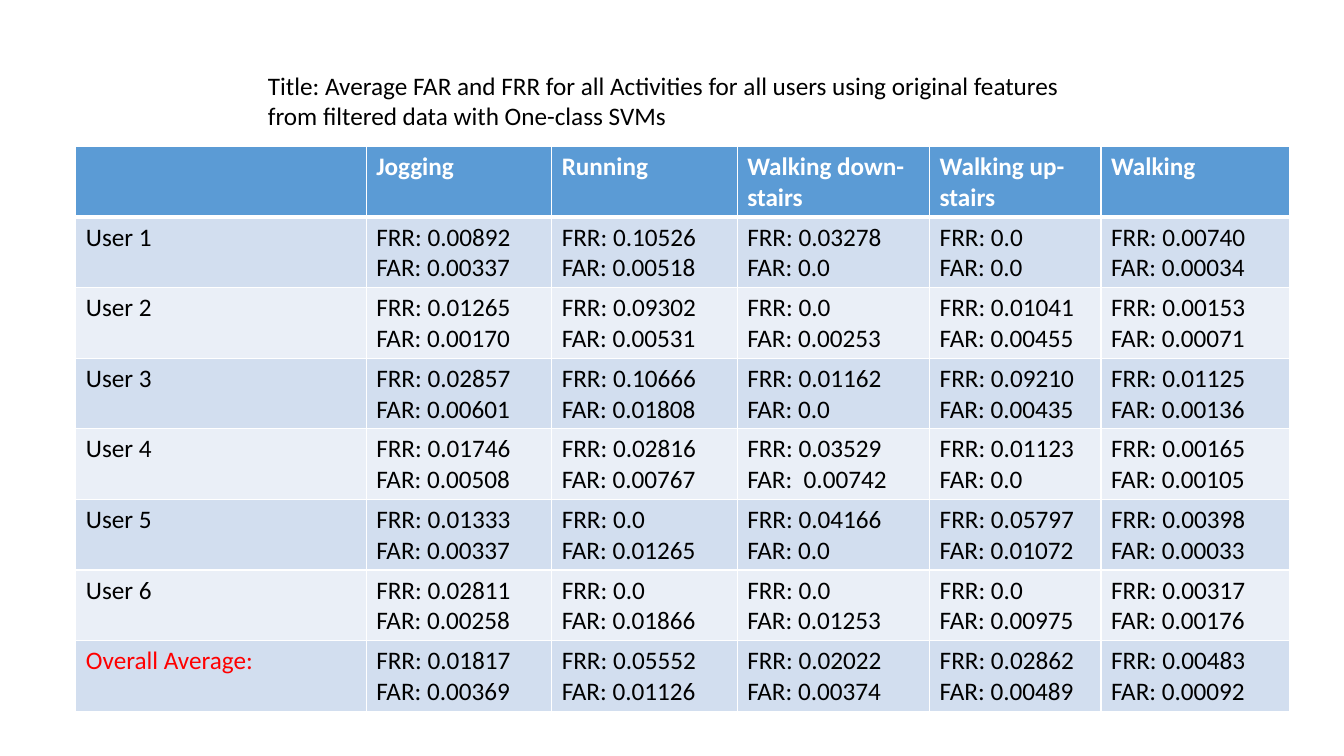
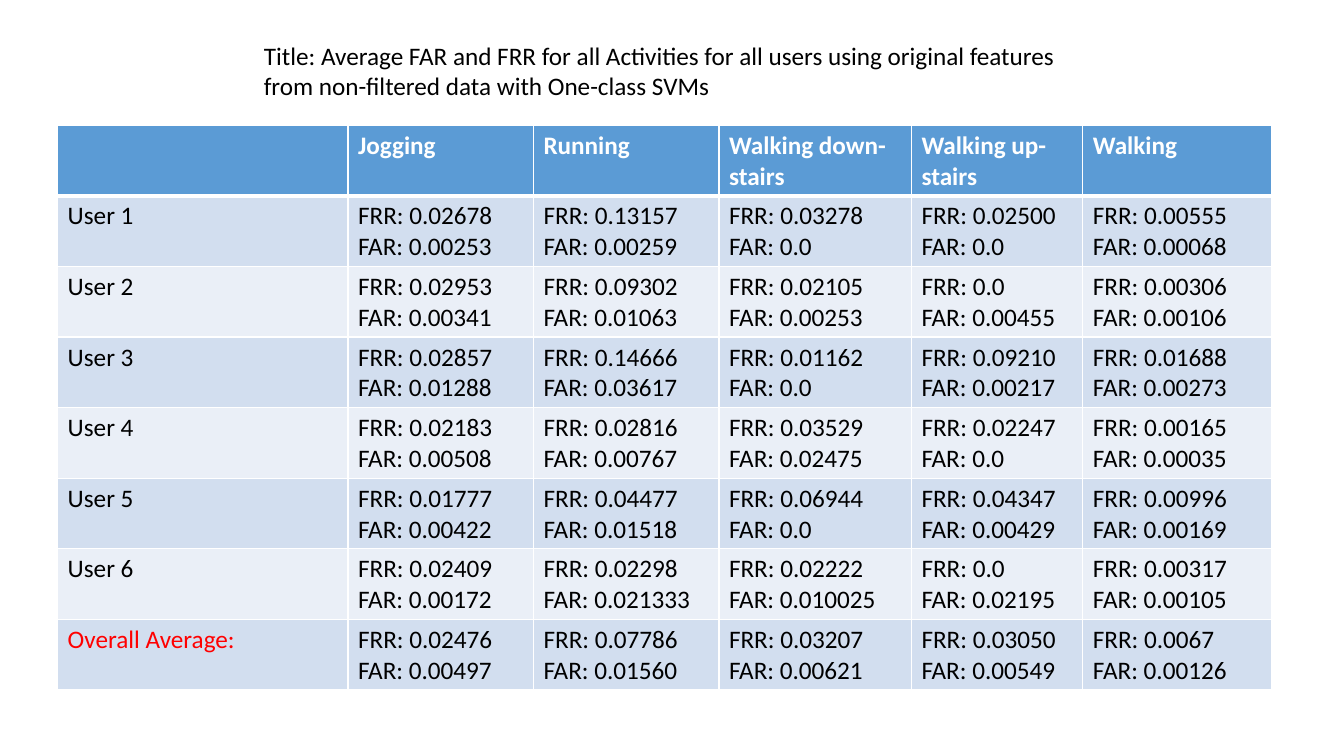
from dataclasses import dataclass

from lxml.etree import SubElement
from pptx import Presentation
from pptx.dml.color import RGBColor
from pptx.enum.text import MSO_AUTO_SIZE
from pptx.oxml.ns import qn
from pptx.util import Pt


@dataclass(frozen=True)
class Theme:
    """Colours, type and line widths shared by the slides."""

    font: str = "Calibri"
    size: float = 18
    text: str = "000000"
    header_text: str = "FFFFFF"
    average_text: str = "FF0000"
    header_fill: str = "5B9BD5"
    bands: tuple = ("D2DEEF", "EAEFF7")
    grid: str = "FFFFFF"
    thin: float = 1
    thick: float = 3


THEME = Theme()
TITLE_SIZE = (585.4, 51)
TABLE_SIZE = (866.9, 403.2)
COLUMN_WIDTHS = (207.4, 132.5, 132.5, 137.5, 122.4, 134.6)
ROW_HEIGHT = 29.2
HEADINGS = ("", "Jogging", "Running", "Walking down-stairs", "Walking up-stairs", "Walking")
USERS = ("User 1", "User 2", "User 3", "User 4", "User 5", "User 6", "Overall Average:")

FILTERED_RATES = (
    (("0.00892", "0.00337"), ("0.10526", "0.00518"), ("0.03278", "0.0"),
     ("0.0", "0.0"), ("0.00740", "0.00034")),
    (("0.01265", "0.00170"), ("0.09302", "0.00531"), ("0.0", "0.00253"),
     ("0.01041", "0.00455"), ("0.00153", "0.00071")),
    (("0.02857", "0.00601"), ("0.10666", "0.01808"), ("0.01162", "0.0"),
     ("0.09210", "0.00435"), ("0.01125", "0.00136")),
    (("0.01746", "0.00508"), ("0.02816", "0.00767"), ("0.03529", " 0.00742"),
     ("0.01123", "0.0"), ("0.00165", "0.00105")),
    (("0.01333", "0.00337"), ("0.0", "0.01265"), ("0.04166", "0.0"),
     ("0.05797", "0.01072"), ("0.00398", "0.00033")),
    (("0.02811", "0.00258"), ("0.0", "0.01866"), ("0.0", "0.01253"),
     ("0.0", "0.00975"), ("0.00317", "0.00176")),
    (("0.01817", "0.00369"), ("0.05552", "0.01126"), ("0.02022", "0.00374"),
     ("0.02862", "0.00489"), ("0.00483", "0.00092")),
)

UNFILTERED_RATES = (
    (("0.02678", "0.00253"), ("0.13157", "0.00259"), ("0.03278", "0.0"),
     ("0.02500", "0.0"), ("0.00555", "0.00068")),
    (("0.02953", "0.00341"), ("0.09302", "0.01063"), ("0.02105", "0.00253"),
     ("0.0", "0.00455"), ("0.00306", "0.00106")),
    (("0.02857", "0.01288"), ("0.14666", "0.03617"), ("0.01162", "0.0"),
     ("0.09210", "0.00217"), ("0.01688", "0.00273")),
    (("0.02183", "0.00508"), ("0.02816", "0.00767"), ("0.03529", "0.02475"),
     ("0.02247", "0.0"), ("0.00165", "0.00035")),
    (("0.01777", "0.00422"), ("0.04477", "0.01518"), ("0.06944", "0.0"),
     ("0.04347", "0.00429"), ("0.00996", "0.00169")),
    (("0.02409", "0.00172"), ("0.02298", "0.021333"), ("0.02222", "0.010025"),
     ("0.0", "0.02195"), ("0.00317", "0.00105")),
    (("0.02476", "0.00497"), ("0.07786", "0.01560"), ("0.03207", "0.00621"),
     ("0.03050", "0.00549"), ("0.0067", "0.00126")),
)


def write_text(frame, text, color, bold=False):
    """Fill a text frame, one paragraph per line, in the shared type."""
    frame.text = text
    for paragraph in frame.paragraphs:
        font = paragraph.font
        font.name, font.size, font.bold = THEME.font, Pt(THEME.size), bold
        font.color.rgb = RGBColor.from_string(color)


def draw_borders(cell, top, bottom):
    """Outline a cell with grid lines of the given top and bottom widths."""
    properties = cell._tc.get_or_add_tcPr()
    widths = {"L": THEME.thin, "R": THEME.thin, "T": top, "B": bottom}
    for side, width in widths.items():
        line = SubElement(properties, qn(f"a:ln{side}"), w=str(Pt(width)))
        fill = SubElement(line, qn("a:solidFill"))
        SubElement(fill, qn("a:srgbClr"), val=THEME.grid)


def fill_cell(cell, text, row, color, bold=False):
    """Write and paint one cell according to its row."""
    write_text(cell.text_frame, text, color, bold)
    draw_borders(cell, THEME.thick if row == 1 else THEME.thin,
                 THEME.thick if row == 0 else THEME.thin)
    cell.fill.solid()
    fill = THEME.bands[(row - 1) % 2] if row else THEME.header_fill
    cell.fill.fore_color.rgb = RGBColor.from_string(fill)


def add_title(slide, left, top, text):
    """Add the wrapped slide title."""
    title = slide.shapes.add_textbox(Pt(left), Pt(top), *map(Pt, TITLE_SIZE))
    title.text_frame.word_wrap = True
    title.text_frame.auto_size = MSO_AUTO_SIZE.SHAPE_TO_FIT_TEXT
    write_text(title.text_frame, text, THEME.text)


def add_rates_table(slide, left, top, rates, row_heights):
    """Add the table of error rates by user and activity."""
    frame = slide.shapes.add_table(len(USERS) + 1, len(HEADINGS),
                                   Pt(left), Pt(top), *map(Pt, TABLE_SIZE))
    table = frame.table
    for column, width in zip(table.columns, COLUMN_WIDTHS):
        column.width = Pt(width)
    for row, height in zip(table.rows, row_heights):
        row.height = Pt(height)
    frame.height = Pt(TABLE_SIZE[1])
    for column, heading in enumerate(HEADINGS):
        fill_cell(table.cell(0, column), heading, 0, THEME.header_text, bold=True)
    for row, (user, pairs) in enumerate(zip(USERS, rates), start=1):
        user_color = THEME.average_text if row == len(USERS) else THEME.text
        fill_cell(table.cell(row, 0), user, row, user_color)
        for column, (frr, far) in enumerate(pairs, start=1):
            fill_cell(table.cell(row, column), f"FRR: {frr}\nFAR: {far}", row, THEME.text)


def add_results_slide(deck, data_kind, title_at, table_at, rates, row_heights):
    """Add one slide with a title and its table of rates."""
    slide = deck.slides.add_slide(deck.slide_layouts[6])
    add_title(slide, *title_at,
              "Title: Average FAR and FRR for all Activities for all users using "
              f"original features from {data_kind} data with One-class SVMs")
    add_rates_table(slide, *table_at, rates, row_heights)


def main():
    """Build and save the presentation."""
    deck = Presentation()
    deck.slide_width, deck.slide_height = Pt(960), Pt(540)
    even_rows = [ROW_HEIGHT] * (len(USERS) + 1)
    tall_user_5 = [45.4 if row == 5 else ROW_HEIGHT for row in range(len(USERS) + 1)]
    add_results_slide(deck, "filtered", (184.3, 46.8), (54.2, 104.6),
                      FILTERED_RATES, even_rows)
    add_results_slide(deck, "non-filtered", (181.4, 25.2), (41.2, 89.5),
                      UNFILTERED_RATES, tall_user_5)
    deck.save("out.pptx")


if __name__ == "__main__":
    main()
